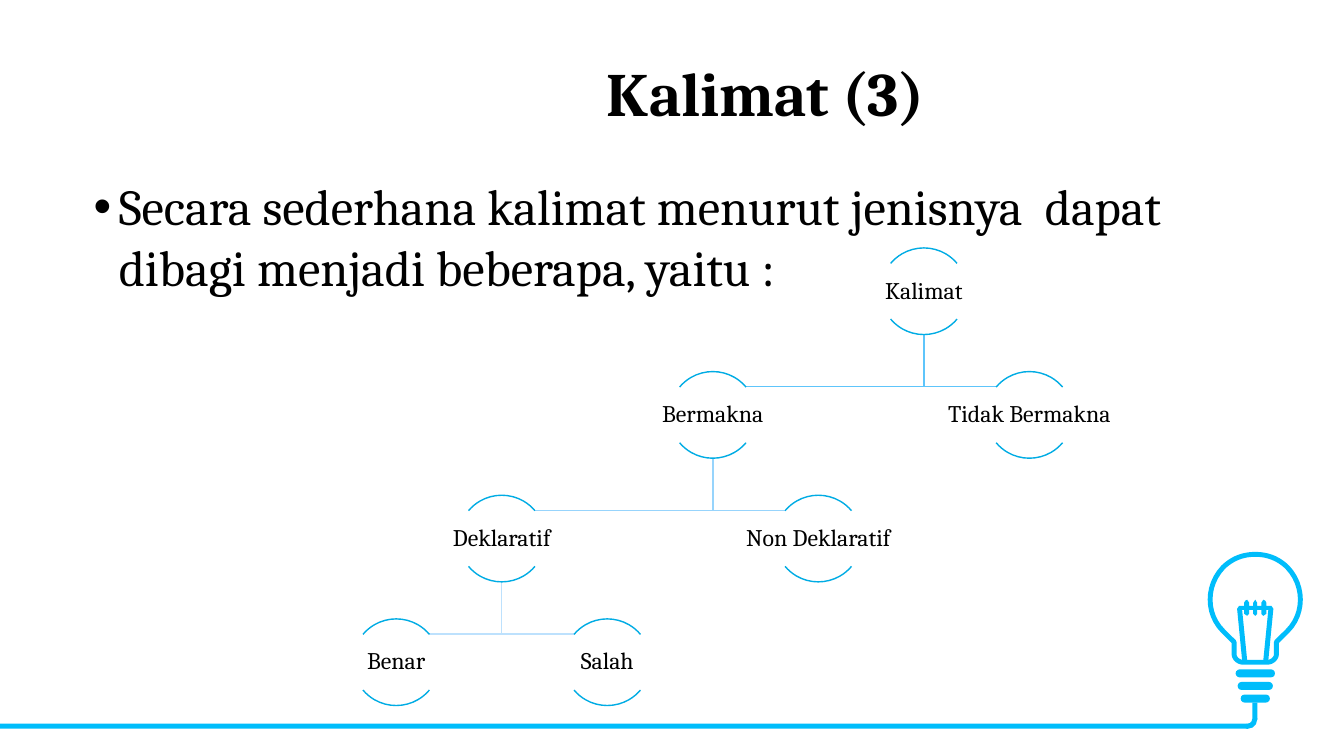
from lxml import etree
from pptx import Presentation
from pptx import util as u
from pptx.dml.color import RGBColor
from pptx.enum import shapes, text
from pptx.oxml.ns import qn

FONT = "Cambria"
BLACK, BRIGHT, ARC_BLUE, WHITE = "000000", "00BDFB", "00ACE4", "FFFFFF"

TITLE = "Kalimat (3)"
INTRO = "Secara sederhana kalimat menurut jenisnya  dapat dibagi menjadi beberapa, yaitu :"

# name: (column, row, parent)
TREE = {
    "Kalimat": (5, 0, None),
    "Bermakna": (3, 1, "Kalimat"),
    "Tidak Bermakna": (6, 1, "Kalimat"),
    "Deklaratif": (1, 2, "Bermakna"),
    "Non Deklaratif": (4, 2, "Bermakna"),
    "Benar": (0, 3, "Deklaratif"),
    "Salah": (2, 3, "Deklaratif"),
}
BRANCH_COLORS = {1: "5EC5FB", 2: "97D4FC", 3: "BDE1FD"}  # by row of the child
FIRST_X, COLUMN_STEP = 3.93, (10.21 - 3.93) / 6
FIRST_Y, ROW_STEP = 2.46, (6.14 - 2.46) / 3
CIRCLE, ARC_END_X, ARC_END_Y = 0.86, 0.33, 0.15
LABEL_W, LABEL_H = 1.73, 0.55
ARC_ANGLES = [(132, 192), (24, 84)]

# Right halves as (offset from the axis, y); six numbers make a Bezier curve
BULB_AXIS = 12.45
GLASS = [(0, 5.5), (0.12, 5.5, 0.23, 5.54, 0.32, 5.63),
         (0.49, 5.81, 0.49, 6.09, 0.32, 6.26), (0.21, 6.37), (0.21, 6.49),
         (0.21, 6.53, 0.17, 6.57, 0.12, 6.57)]
FILAMENT = [(0, 5.95), (0.02, 5.98), (0.02, 6.01), (0.06, 6.01), (0.06, 5.98),
            (0.08, 5.95), (0.1, 5.96), (0.11, 5.98), (0.11, 6.01), (0.16, 6.01),
            (0.18, 6.04), (0.13, 6.55), (0.11, 6.58), (0.08, 6.55), (0.13, 6.05),
            (0.11, 6.05), (0.11, 6.09), (0.08, 6.11), (0.06, 6.09), (0.06, 6.05),
            (0.02, 6.05), (0.02, 6.09), (0, 6.11)]
SOCKET_WIDTHS, SOCKET_Y, SOCKET_STEP, SOCKET_H = (0.39, 0.35, 0.29), 6.64, 0.125, 0.08
CABLE = [  # preset, left, top, width, height, adjustments
    (shapes.MSO_SHAPE.RECTANGLE, 0, 7.18, 12.37, 0.05, ()),
    (shapes.MSO_SHAPE.RECTANGLE, 12.42, 6.97, 0.05, 0.17, ()),
    (shapes.MSO_SHAPE.BLOCK_ARC, 12.28, 7.04, 0.19, 0.19, (213.394, 60.915, 0.271)),
]

prs = Presentation()
prs.slide_width, prs.slide_height = u.Inches(13.33), u.Inches(7.5)
slide = prs.slides.add_slide(prs.slide_layouts[5])


def rgb(color):
    return RGBColor.from_string(color)


def paint(shape, fill=None, line=None, width=1):
    shape.shadow.inherit = False
    if fill:
        shape.fill.solid()
        shape.fill.fore_color.rgb = rgb(fill)
    else:
        shape.fill.background()
    if line:
        shape.line.color.rgb = rgb(line)
        shape.line.width = u.Pt(width)
    else:
        shape.line.fill.background()


def add_preset(preset, box, adjustments=(), **look):
    shape = slide.shapes.add_shape(preset, *map(u.Inches, box))
    for index, value in enumerate(adjustments):
        shape.adjustments[index] = value
    paint(shape, **look)


def add_outline(points, close, **look):
    corners = [(u.Inches(x), u.Inches(y)) for x, y in points]
    builder = slide.shapes.build_freeform(*corners[0])
    builder.add_line_segments(corners[1:], close=close)
    paint(builder.convert_to_shape(), **look)


def symmetric(half, steps=12):
    """Flatten the curves of a right half and add its mirror image."""
    flat = []
    for part in half:
        if len(part) == 2:
            flat.append(part)
            continue
        controls = [flat[-1], part[:2], part[2:4], part[4:]]
        for step in range(1, steps + 1):
            t = step / steps
            weights = ((1 - t) ** 3, 3 * t * (1 - t) ** 2, 3 * t * t * (1 - t), t ** 3)
            flat.append(tuple(sum(w * c[axis] for w, c in zip(weights, controls))
                              for axis in (0, 1)))
    right = [(BULB_AXIS + dx, y) for dx, y in flat]
    left = [(BULB_AXIS - dx, y) for dx, y in reversed(flat) if dx]
    return right + left


def write(shape, words, size, frame_format, bold=False, align=None, spacing=None, bullet=False):
    frame = shape.text_frame
    settings = {"word_wrap": True, "auto_size": text.MSO_AUTO_SIZE.NONE, **frame_format}
    for name, value in settings.items():
        setattr(frame, name, value)
    paragraph = frame.paragraphs[0]
    if bullet:
        props = paragraph._p.get_or_add_pPr()
        props.set("marL", str(u.Inches(0.25)))
        props.set("indent", str(-u.Inches(0.25)))
        etree.SubElement(props, qn("a:buFont"), typeface="Arial")
        etree.SubElement(props, qn("a:buChar"), char="•")
    paragraph.alignment = align
    paragraph.line_spacing = spacing
    run = paragraph.add_run()
    run.text = words
    for name, value in {"name": FONT, "size": u.Pt(size), "bold": bold}.items():
        setattr(run.font, name, value)
    run.font.color.rgb = rgb(BLACK)


def add_text(box, *args, **kwargs):
    write(slide.shapes.add_textbox(*map(u.Inches, box)), *args, **kwargs)


def place(name):
    """Centre x and circle top of a tree node."""
    column, row, _ = TREE[name]
    return FIRST_X + column * COLUMN_STEP, FIRST_Y + row * ROW_STEP


# Bulb and cable
add_outline(symmetric(GLASS), True, fill=WHITE, line=BRIGHT, width=3.5)
for level, width in enumerate(SOCKET_WIDTHS):
    add_preset(shapes.MSO_SHAPE.ROUNDED_RECTANGLE,
               (BULB_AXIS - width / 2, SOCKET_Y + level * SOCKET_STEP, width, SOCKET_H),
               (0.5,), fill=BRIGHT)
add_outline(symmetric(FILAMENT), True, fill=BRIGHT)
for preset, *box, adjustments in CABLE:
    add_preset(preset, box, adjustments, fill=BRIGHT)

# Title and introduction
title = slide.shapes.title
for side, length in {"left": 2.69, "top": 0.4, "width": 9.81, "height": 1.12}.items():
    setattr(title, side, u.Inches(length))
middle = {"vertical_anchor": text.MSO_ANCHOR.MIDDLE}
write(title, TITLE, 44, middle, bold=True, align=text.PP_ALIGN.CENTER, spacing=0.9)
add_text((0.83, 1.69, 11.66, 5.53), INTRO, 36, {}, bullet=True)

# Tree of sentence kinds
for name, (_, row, parent) in TREE.items():
    if parent:
        (x, top), (parent_x, parent_top) = place(name), place(parent)
        end_x = x + (ARC_END_X if x < parent_x else -ARC_END_X)
        joint_y = top + ARC_END_Y
        add_outline([(parent_x, parent_top + CIRCLE), (parent_x, joint_y), (end_x, joint_y)],
                    False, line=BRANCH_COLORS[row])

margins = {f"margin_{side}": u.Inches(0.01) for side in ("left", "top", "right", "bottom")}
for name in TREE:
    x, top = place(name)
    for angles in ARC_ANGLES:
        add_preset(shapes.MSO_SHAPE.ARC, (x - CIRCLE / 2, top, CIRCLE, CIRCLE), angles, line=ARC_BLUE)
    add_text((x - LABEL_W / 2, top + (CIRCLE - LABEL_H) / 2, LABEL_W, LABEL_H), name, 17,
             {**middle, **margins}, align=text.PP_ALIGN.CENTER, spacing=0.9)

prs.save("out.pptx")
